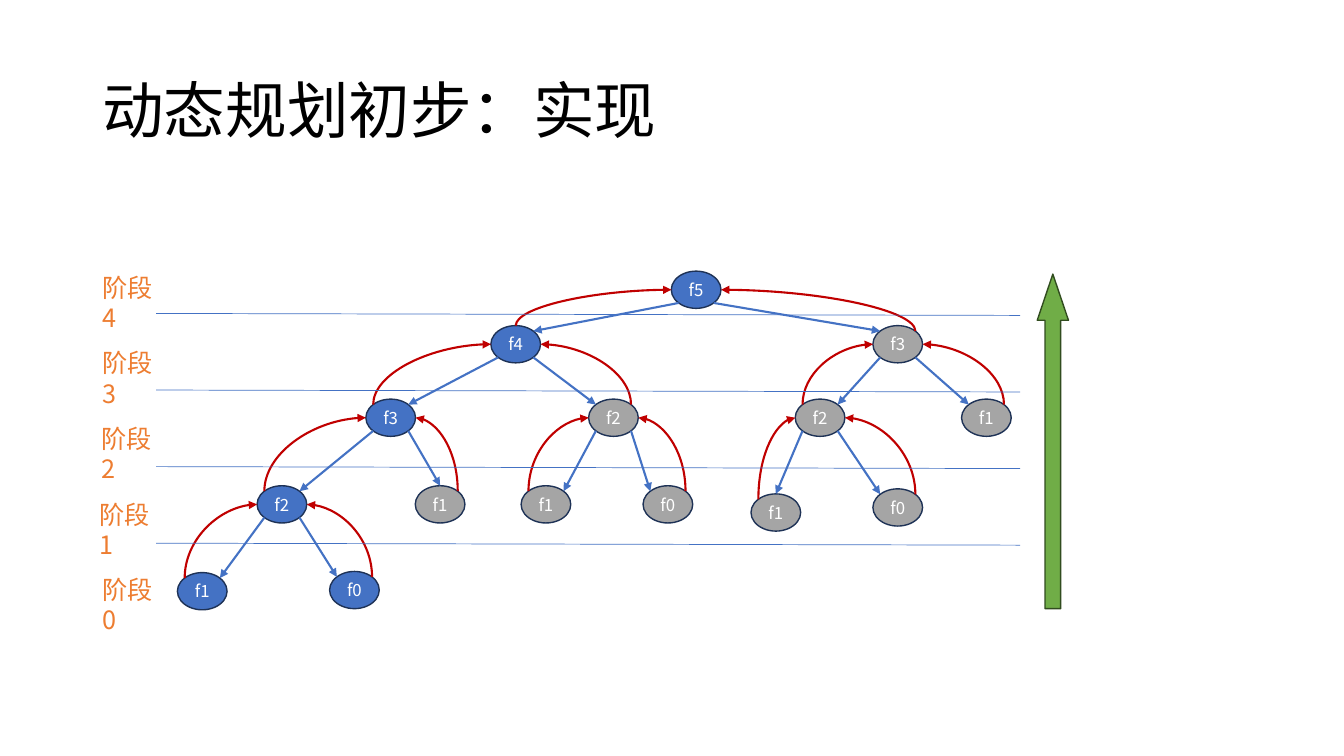
"""Build a slide showing the recursion tree of f5 split into dynamic programming stages."""
from dataclasses import dataclass
from math import sqrt

from lxml import etree
from pptx import Presentation
from pptx.dml.color import RGBColor
from pptx.enum.shapes import MSO_CONNECTOR, MSO_SHAPE
from pptx.enum.text import MSO_ANCHOR, PP_ALIGN
from pptx.oxml.ns import qn
from pptx.util import Pt

STRAIGHT = MSO_CONNECTOR.STRAIGHT
CURVE = MSO_CONNECTOR.CURVE
OVAL = MSO_SHAPE.OVAL
UP_ARROW = MSO_SHAPE.UP_ARROW
MIDDLE = MSO_ANCHOR.MIDDLE
CENTER = PP_ALIGN.CENTER


@dataclass(frozen=True)
class Theme:
    font: str = "Noto Sans CJK SC"
    title: str = "000000"
    stage: str = "ED7D31"
    node_text: str = "FFFFFF"
    computed: str = "4472C4"
    reused: str = "A5A5A5"
    outline: str = "1E3256"
    call: str = "4472C4"
    result: str = "C00000"
    arrow: str = "70AD47"
    arrow_outline: str = "314C1F"
    title_size: float = 44
    stage_size: float = 18
    node_size: float = 12


theme = Theme()


def add_text(sp, text, size, color):
    tf = sp.text_frame
    tf.word_wrap = True
    p = tf.paragraphs[0]
    r = p.add_run()
    r.text = text
    r.font.name = theme.font
    r.font.size = Pt(size)
    r.font.color.rgb = RGBColor.from_string(color)
    etree.SubElement(r.font._element, qn("a:ea"), typeface=theme.font)
    return tf, p


def add_line(kind, x1, y1, x2, y2, color, width, arrow=True):
    cx = s.shapes.add_connector(kind, Pt(x1), Pt(y1), Pt(x2), Pt(y2))
    cx.line.color.rgb = RGBColor.from_string(color)
    cx.line.width = Pt(width)
    if arrow:
        etree.SubElement(cx.line._get_or_add_ln(), qn("a:tailEnd"), type="triangle")
    etree.SubElement(cx._element.spPr, qn("a:effectLst"))
    return cx


prs = Presentation()
prs.slide_width, prs.slide_height = Pt(960), Pt(540)
s = prs.slides.add_slide(prs.slide_layouts[6])

title = s.shapes.add_textbox(Pt(66), Pt(28.75), Pt(828), Pt(104.4))
tf, p = add_text(title, "动态规划初步：实现", theme.title_size, theme.title)
tf.vertical_anchor = MIDDLE
p.line_spacing = 0.9

# label, centre x, centre y, computed, parent, call ends at top, result leaves from top
nodes = [
    ("f5", 497.3, 207, True, None, False, False),
    ("f4", 368.4, 245.9, True, 0, False, True),
    ("f3", 641.3, 245.9, False, 0, False, False),
    ("f3", 279.1, 298.4, True, 1, False, False),
    ("f2", 438.2, 298.4, False, 1, False, False),
    ("f2", 585.8, 298.4, False, 2, False, False),
    ("f1", 704.6, 298.4, False, 2, False, False),
    ("f2", 201.4, 360.3, True, 3, False, False),
    ("f1", 314.4, 360.3, False, 3, True, False),
    ("f1", 390, 360.3, False, 4, False, False),
    ("f0", 477.1, 360.3, False, 4, False, False),
    ("f1", 554.2, 366.1, False, 5, True, False),
    ("f0", 641.3, 362.5, False, 5, False, False),
    ("f1", 144.5, 422.3, True, 7, False, False),
    ("f0", 253.2, 421.5, True, 7, False, False),
]
node_w, node_h = 35.5, 26.6
diag_x, diag_y = node_w / sqrt(8), node_h / sqrt(8)

for label, x, y, computed, *links in nodes:
    sp = s.shapes.add_shape(OVAL, Pt(x - node_w / 2), Pt(y - node_h / 2), Pt(node_w), Pt(node_h))
    sp.shadow.inherit = False
    sp.fill.solid()
    sp.fill.fore_color.rgb = RGBColor.from_string(theme.computed if computed else theme.reused)
    sp.line.color.rgb = RGBColor.from_string(theme.outline)
    sp.line.width = Pt(1)
    tf, p = add_text(sp, label, theme.node_size, theme.node_text)
    tf.margin_left = tf.margin_right = tf.margin_top = tf.margin_bottom = 0
    tf.vertical_anchor = MIDDLE
    p.alignment = CENTER

for label, x, y, computed, parent, call_top, result_top in nodes[1:]:
    px, py = nodes[parent][1:3]
    side = 1 if x < px else -1
    top = y - node_h / 2
    end_x, end_y = (x, top) if call_top else (x + side * diag_x, y - diag_y)
    add_line(STRAIGHT, px - side * diag_x, py + diag_y, end_x, end_y, theme.call, 1.5)

    start_x, start_y = (x, top) if result_top else (x - side * diag_x, y - diag_y)
    end_x = px - side * node_w / 2
    mid_x, mid_y = (start_x + end_x) / 2, (start_y + py) / 2
    half_w, half_h = abs(end_x - start_x) / 2, side * (start_y - py) / 2
    curve = add_line(CURVE, mid_x + half_h, mid_y + half_w, mid_x - half_h, mid_y - half_w,
                     theme.result, 1.5)
    curve._element.spPr.find(qn("a:prstGeom")).set("prst", "curvedConnector2")
    curve._element.spPr.find(qn("a:xfrm")).set("rot", "5400000" if side == 1 else "16200000")

arrow = s.shapes.add_shape(UP_ARROW, Pt(740.9), Pt(195.8), Pt(22.3), Pt(239))
arrow.shadow.inherit = False
arrow.adjustments[0], arrow.adjustments[1] = 0.5, 1.48
arrow.fill.solid()
arrow.fill.fore_color.rgb = RGBColor.from_string(theme.arrow)
arrow.line.color.rgb = RGBColor.from_string(theme.arrow_outline)
arrow.line.width = Pt(1)

for i in range(4):
    y = 223.9 + 54.7 * i
    add_line(STRAIGHT, 111.6, y, 728.6, y + 1.4, theme.call, 0.5, arrow=False)

for i, x in enumerate((66.2, 66.2, 65.5, 64.1, 66.2)):
    box = s.shapes.add_textbox(Pt(x), Pt(190.8 + 54 * i), Pt(58), Pt(29))
    add_text(box, f"阶段{4 - i}", theme.stage_size, theme.stage)

prs.save("out.pptx")
